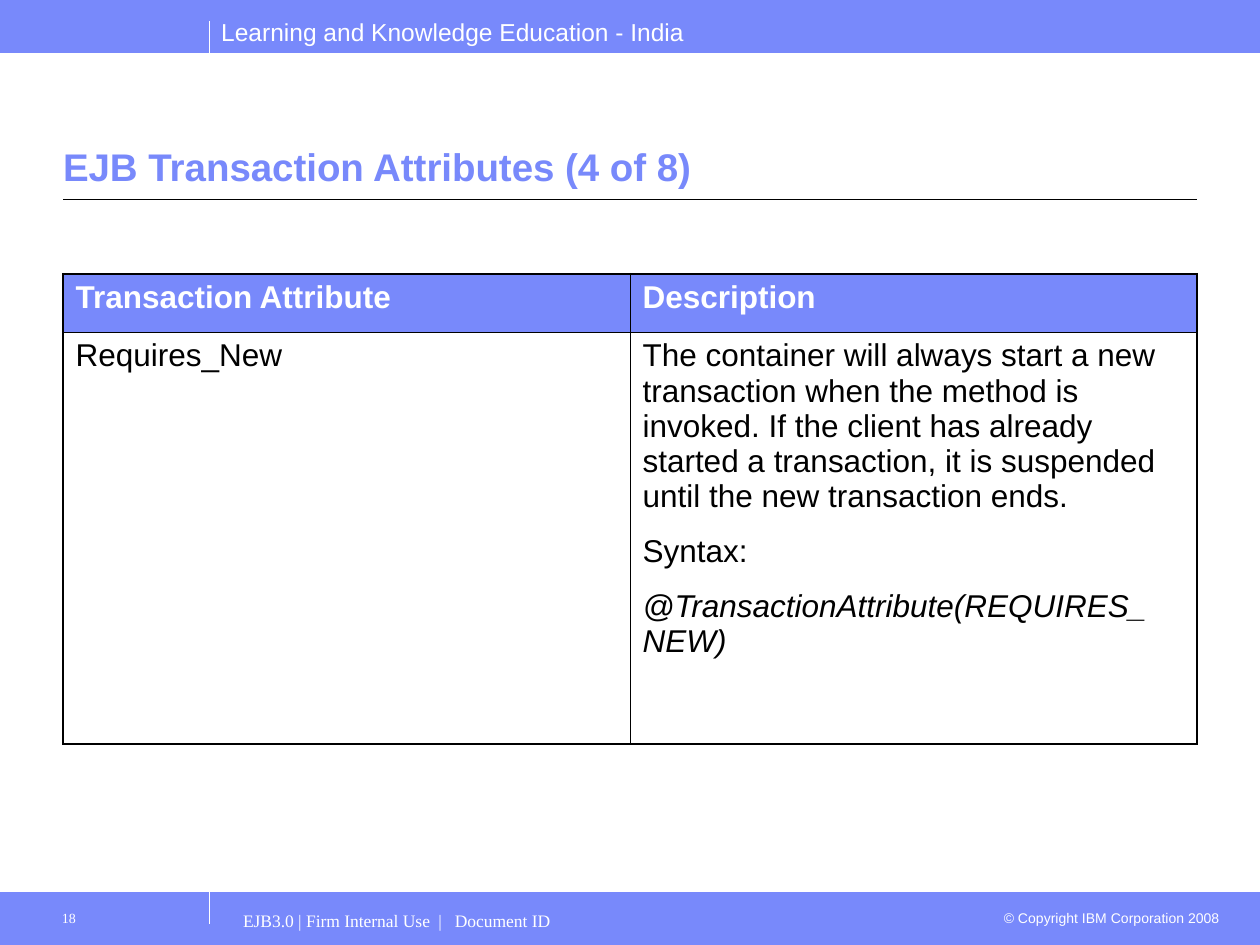
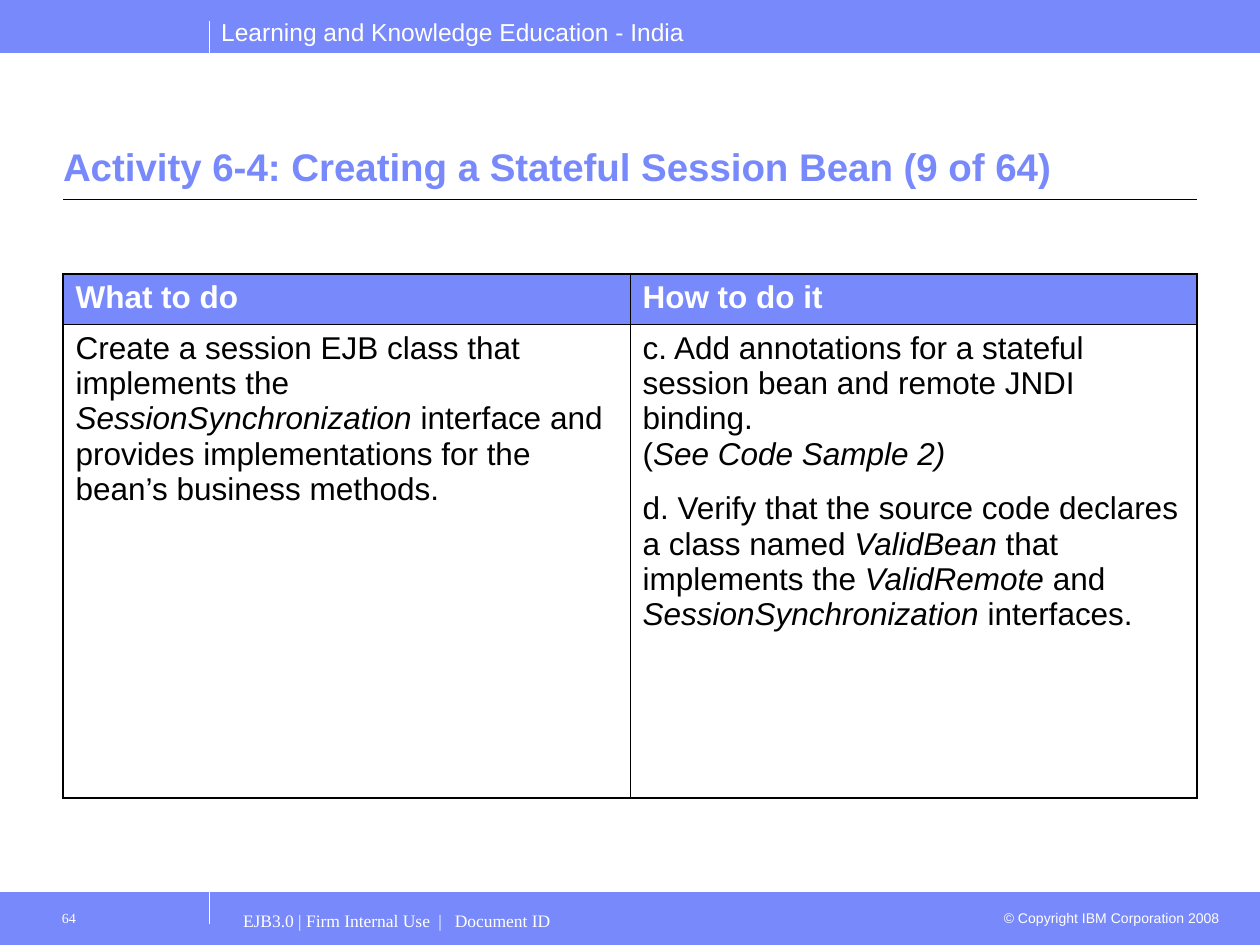
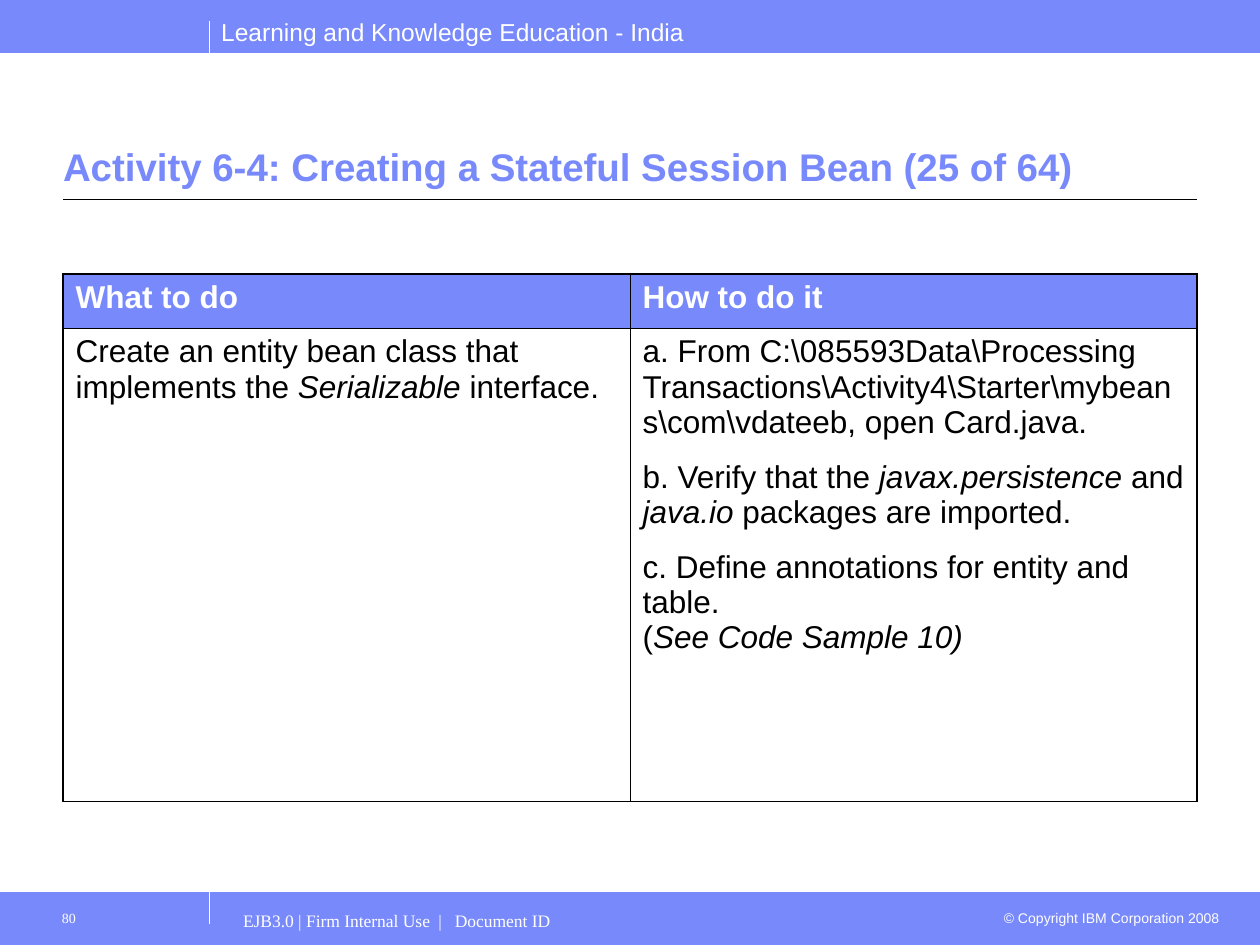
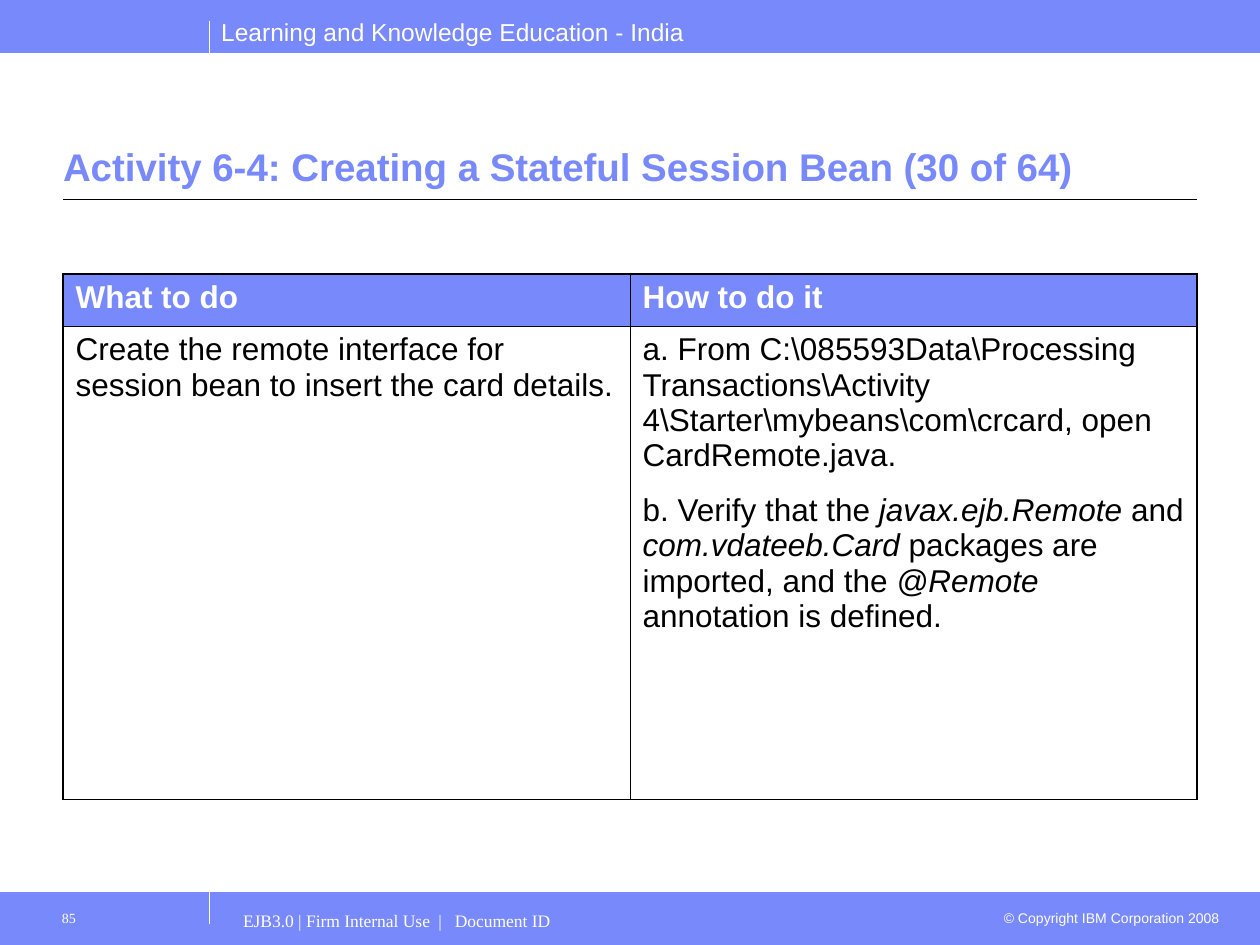
from lxml.etree import SubElement
from pptx import Presentation
from pptx.dml.color import RGBColor
from pptx.enum.shapes import MSO_CONNECTOR, MSO_SHAPE
from pptx.enum.text import MSO_ANCHOR, MSO_AUTO_SIZE, PP_ALIGN
from pptx.oxml import parse_xml
from pptx.oxml.ns import nsdecls, qn
from pptx.util import Cm, Pt

COLORS = {"blue": "7889FB", "white": "FFFFFF", "black": "000000"}
SANS, SERIF = "Arial", "Times New Roman"

HEADER = "Learning and Knowledge Education - India"
COPYRIGHT = "© Copyright IBM Corporation 2008"
FOOTER = "EJB3.0 | Firm Internal Use\t|\tDocument ID"
ACTIVITY = "Activity 6-4: Creating a Stateful Session Bean ({} of 64)"
ACTIVITY_HEADINGS = ["What to do", "How to do it"]

# Each cell is a list of paragraphs; *asterisks* enclose italic text.
SLIDES = [
    {
        "number": 18,
        "title": "EJB Transaction Attributes (4 of 8)",
        "headings": ["Transaction Attribute", "Description"],
        "row_heights": [1.17, 8.31],
        "cells": [
            ["Requires_New"],
            ["The container will always start a new transaction when the method is "
             "invoked. If the client has already started a transaction, it is "
             "suspended until the new transaction ends.",
             "Syntax:",
             "*@TransactionAttribute(REQUIRES_\nNEW)*"],
        ],
    },
    {
        "number": 64,
        "title": ACTIVITY.format(9),
        "headings": ACTIVITY_HEADINGS,
        "row_heights": [1.02, 9.55],
        "cells": [
            ["Create a session EJB class that implements the "
             "*SessionSynchronization* interface and provides implementations "
             "for the bean’s business methods."],
            ["c. Add annotations for a stateful session bean and remote JNDI "
             "binding.\n(*See Code Sample 2)*",
             "d. Verify that the source code declares a class named *ValidBean* "
             "that implements the *ValidRemote* and *SessionSynchronization* "
             "interfaces."],
        ],
    },
    {
        "number": 80,
        "title": ACTIVITY.format(25),
        "headings": ACTIVITY_HEADINGS,
        "row_heights": [1.09, 9.55],
        "cells": [
            ["Create an entity bean class that implements the *Serializable* "
             "interface."],
            [r"a. From C:\085593Data\Processing Transactions\Activity4\Starter"
             r"\mybeans\com\vdateeb, open Card.java.",
             "b. Verify that the *javax.persistence* and *java.io* packages are "
             "imported.",
             "c. Define annotations for entity and table.\n(*See Code Sample 10)*"],
        ],
    },
    {
        "number": 85,
        "title": ACTIVITY.format(30),
        "headings": ACTIVITY_HEADINGS,
        "row_heights": [1.05, 9.55],
        "cells": [
            ["Create the remote interface for session bean to insert the card "
             "details."],
            [r"a. From C:\085593Data\Processing Transactions\Activity 4\Starter"
             r"\mybeans\com\crcard, open CardRemote.java.",
             "b. Verify that the *javax.ejb.Remote* and *com.vdateeb.Card* "
             "packages are imported, and the *@Remote* annotation is defined."],
        ],
    },
]

WIDTH, HEIGHT = 25.4, 19.05
BAND = 1.06
FOOT_TOP = HEIGHT - BAND
MARGIN = 1.27
CONTENT_WIDTH = WIDTH - 2 * MARGIN
DIVIDER_X, DIVIDER_LENGTH = 4.23, 0.64
TITLE_TOP, TITLE_HEIGHT, RULE_Y = 1.62, 2.33, 4.02
TABLE_TOP = 5.52
FOOTER_TABS = (3.94, 4.27)
OUTER_LINE, INNER_LINE = 1.08, 0.45


def rgb(name):
    return RGBColor.from_string(COLORS[name])


def set_font(font, size, color, name=SANS, **extra):
    for key, value in {"size": Pt(size), "name": name, **extra}.items():
        setattr(font, key, value)
    font.color.rgb = rgb(color)


def place(shape, left, top, width, height):
    box = {"left": left, "top": top, "width": width, "height": height}
    for key, value in box.items():
        setattr(shape, key, Cm(value))


def add_band(slide, top):
    band = slide.shapes.add_shape(
        MSO_SHAPE.RECTANGLE, 0, Cm(top), Cm(WIDTH), Cm(BAND))
    band.shadow.inherit = False
    band.fill.solid()
    band.fill.fore_color.rgb = band.line.color.rgb = rgb("blue")
    band.line.width = Pt(0.75)


def add_line(slide, x1, y1, x2, y2, color, width):
    line = slide.shapes.add_connector(
        MSO_CONNECTOR.STRAIGHT, Cm(x1), Cm(y1), Cm(x2), Cm(y2))
    line.line.color.rgb = rgb(color)
    line.line.width = Pt(width)
    SubElement(line.element.spPr, qn("a:effectLst"))


def add_text(slide, box, text, size, name=SANS, align=PP_ALIGN.LEFT, tabs=(), **frame_format):
    shape = slide.shapes.add_textbox(*map(Cm, box))
    frame = shape.text_frame
    for key, value in {"word_wrap": True, **frame_format}.items():
        setattr(frame, key, value)
    paragraph = frame.paragraphs[0]
    paragraph.text = text
    paragraph.alignment = align
    if tabs:
        tab_list = SubElement(paragraph._p.get_or_add_pPr(), qn("a:tabLst"))
        for position in tabs:
            SubElement(tab_list, qn("a:tab"), pos=str(Cm(position)), algn="l")
    for run in paragraph.runs:
        set_font(run.font, size, "white", name)


def add_shared_parts(slide):
    """Draw the bands, lines and fixed texts, then move them to the layout."""
    add_band(slide, FOOT_TOP)
    add_band(slide, 0)
    fit = {"auto_size": MSO_AUTO_SIZE.SHAPE_TO_FIT_TEXT}
    add_text(slide, (4.21, 0.21, 10.2, 0.86), HEADER, 14, **fit)
    add_text(slide, (19.89, 18.21, 4.95, 0.61), COPYRIGHT, 8,
             align=PP_ALIGN.RIGHT, **fit)
    for y in (BAND, FOOT_TOP):
        add_line(slide, 0, y, WIDTH, y, "blue", 0.5)
    for y in (BAND, FOOT_TOP + DIVIDER_LENGTH):
        add_line(slide, DIVIDER_X, y, DIVIDER_X, y - DIVIDER_LENGTH, "white", 0.75)
    add_line(slide, MARGIN, RULE_Y, WIDTH - MARGIN, RULE_Y, "black", 0.75)
    for shape in list(slide.shapes):
        if not shape.is_placeholder:
            slide.slide_layout.shapes.element.append(shape.element)


def add_title(slide, text):
    title = slide.shapes.title
    place(title, MARGIN, TITLE_TOP, CONTENT_WIDTH, TITLE_HEIGHT)
    frame = title.text_frame
    frame_format = {"margin_left": 0, "margin_right": 0, "word_wrap": True,
                    "auto_size": MSO_AUTO_SIZE.NONE,
                    "vertical_anchor": MSO_ANCHOR.BOTTOM}
    for key, value in frame_format.items():
        setattr(frame, key, value)
    frame.text = text
    paragraph = frame.paragraphs[0]
    paragraph.alignment = PP_ALIGN.LEFT
    set_font(paragraph.runs[0].font, 22, "blue", bold=True)


def set_borders(cell, row, column):
    """Thick lines on the outside of the two-by-two table, thin ones inside."""
    outer = {"L": column == 0, "R": column == 1, "T": row == 0, "B": row == 1}
    properties = cell._tc.get_or_add_tcPr()
    for index, (side, is_outer) in enumerate(outer.items()):
        width = Pt(OUTER_LINE if is_outer else INNER_LINE)
        properties.insert(index, parse_xml(
            f'<a:ln{side} {nsdecls("a")} w="{width}"><a:solidFill>'
            f'<a:srgbClr val="{COLORS["black"]}"/></a:solidFill></a:ln{side}>'))


def fill_cell(cell, paragraphs, color, bold):
    frame = cell.text_frame
    for index, text in enumerate(paragraphs):
        paragraph = frame.add_paragraph() if index else frame.paragraphs[0]
        paragraph.space_after = Pt(11.2)
        for part, piece in enumerate(text.split("*")):
            for number, words in enumerate(piece.split("\n")):
                if number:
                    paragraph.add_line_break()
                if words:
                    run = paragraph.add_run()
                    run.text = words
                    set_font(run.font, 18, color, bold=bold, italic=part % 2 == 1)


def add_grid(slide, headings, cells, row_heights):
    table = slide.shapes.add_table(
        2, 2, Cm(MARGIN), Cm(TABLE_TOP), Cm(CONTENT_WIDTH),
        Cm(sum(row_heights))).table
    table.first_row = table.horz_banding = False
    rows = [[[heading] for heading in headings], cells]
    for row, (contents, height) in enumerate(zip(rows, row_heights)):
        table.rows[row].height = Cm(height)
        is_header = row == 0
        for column, paragraphs in enumerate(contents):
            cell = table.cell(row, column)
            if is_header:
                cell.fill.solid()
                cell.fill.fore_color.rgb = rgb("blue")
            else:
                cell.fill.background()
            set_borders(cell, row, column)
            fill_cell(cell, paragraphs, "white" if is_header else "black", is_header)


def main():
    presentation = Presentation()
    presentation.slide_width, presentation.slide_height = Cm(WIDTH), Cm(HEIGHT)
    title_only = presentation.slide_layouts[5]
    for index, content in enumerate(SLIDES):
        slide = presentation.slides.add_slide(title_only)
        if index == 0:
            add_shared_parts(slide)
        add_title(slide, content["title"])
        add_grid(slide, content["headings"], content["cells"], content["row_heights"])
        add_text(slide, (4.65, 18.16, 15.24, 0.89), FOOTER, 10, SERIF,
                 tabs=FOOTER_TABS, margin_top=Cm(0.18))
        add_text(slide, (0.84, 18.16, 3.38, 0.89), str(content["number"]), 8, SERIF,
                 margin_left=Cm(0.41), margin_top=Cm(0.18))
    presentation.save("out.pptx")


if __name__ == "__main__":
    main()
